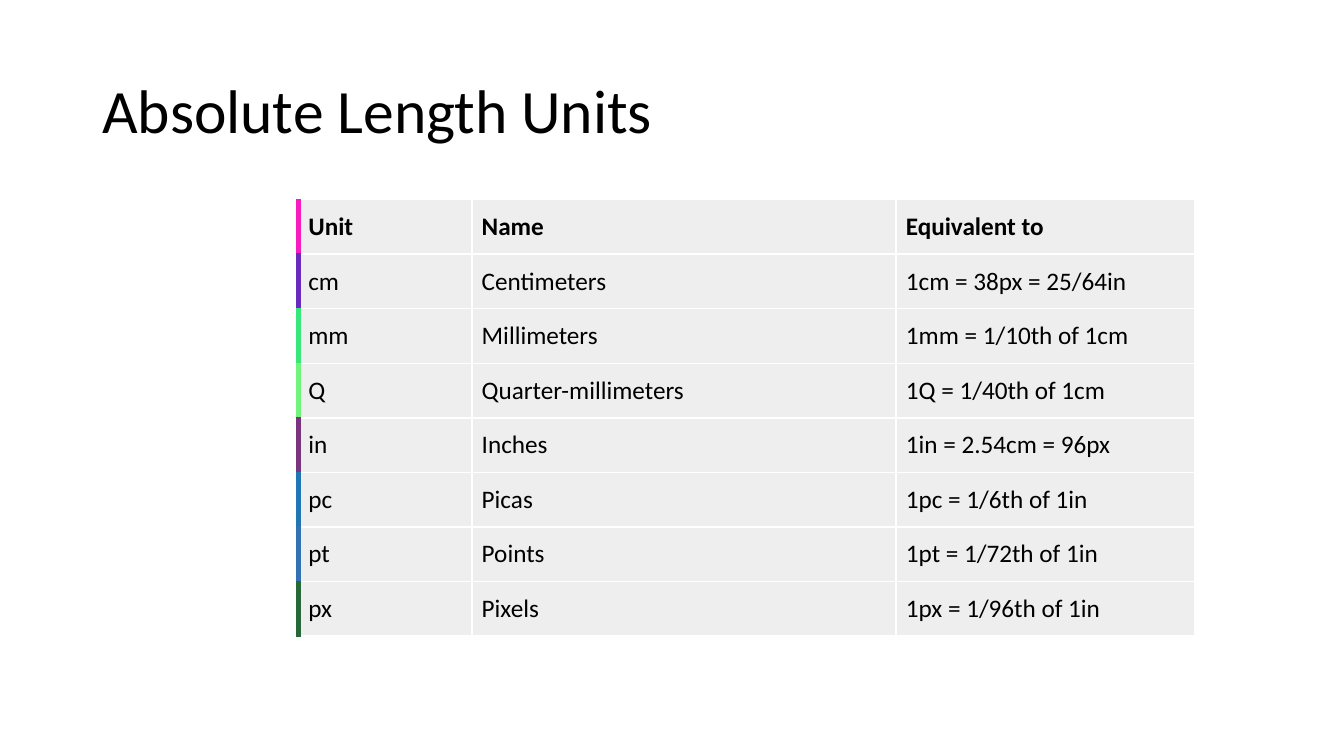
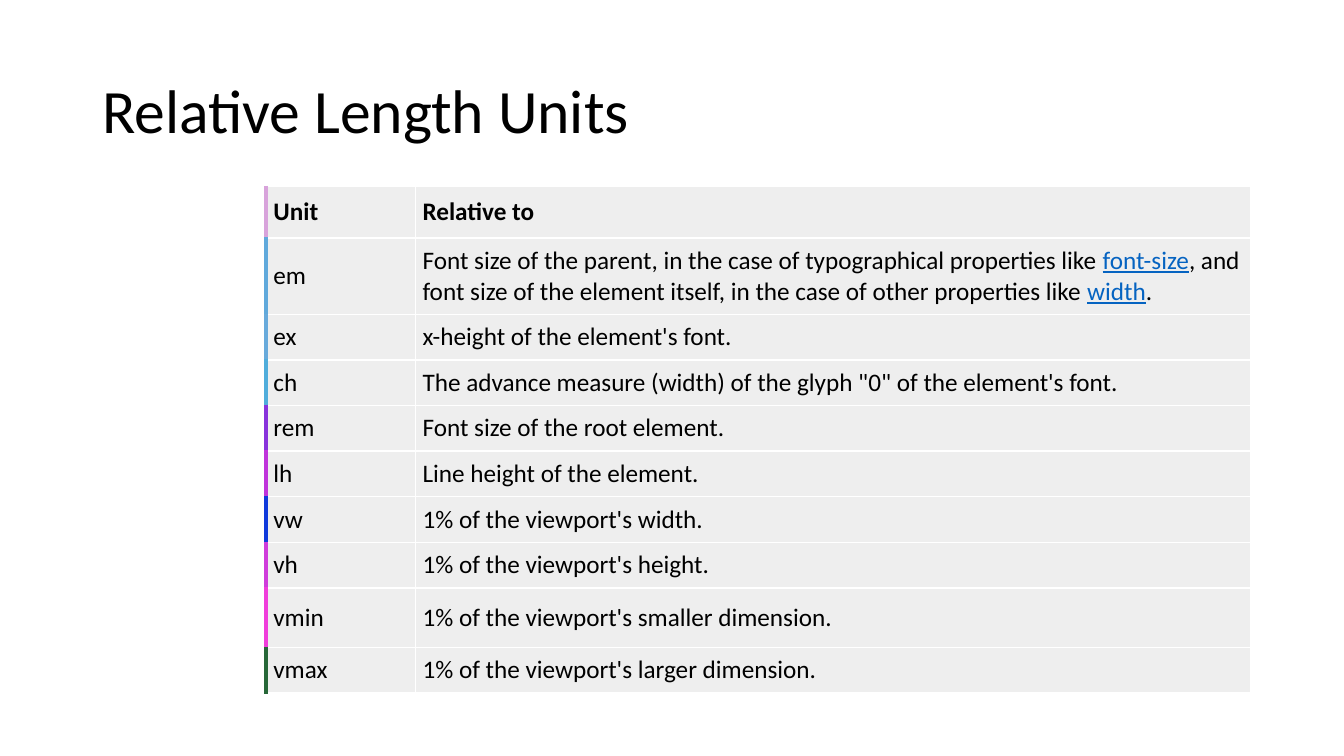
from lxml import etree
from pptx import Presentation
from pptx.dml.color import RGBColor
from pptx.enum import text
from pptx.oxml import ns
from pptx.util import Cm, Pt

FONT = "Calibri"
COLORS = {"ink": "000000", "link": "0563C1", "cell": "EEEEEE", "rule": "FFFFFF"}
TITLE_BOX = (2.33, 1.01, 29.21, 3.68)
RULE_WIDTH = 1.2
MARKER_WIDTH = 3.6

ABSOLUTE_UNITS = [
    ("F81CC0", "Unit", "Name", "Equivalent to"),
    ("682BC0", "cm", "Centimeters", "1cm = 38px = 25/64in"),
    ("38E77A", "mm", "Millimeters", "1mm = 1/10th of 1cm"),
    ("70F47A", "Q", "Quarter-millimeters", "1Q = 1/40th of 1cm"),
    ("78347D", "in", "Inches", "1in = 2.54cm = 96px"),
    ("2076B4", "pc", "Picas", "1pc = 1/6th of 1in"),
    ("3072B4", "pt", "Points", "1pt = 1/72th of 1in"),
    ("276738", "px", "Pixels", "1px = 1/96th of 1in"),
]

RELATIVE_UNITS = [
    ("D8A3DB", "Unit", "Relative to"),
    ("60A9DB", "em",
     "Font size of the parent, in the case of typographical properties like |font-size|"
     ", and font size of the element itself, in the case of other properties like |width|."),
    ("68AADB", "ex", "x-height of the element's font."),
    ("50ADDB", "ch", "The advance measure (width) of the glyph \"0\" of the element's font."),
    ("8833DB", "rem", "Font size of the root element."),
    ("C034DB", "lh", "Line height of the element."),
    ("1039DB", "vw", "1% of the viewport's width."),
    ("D03CDB", "vh", "1% of the viewport's height."),
    ("F03DDB", "vmin", "1% of the viewport's smaller dimension."),
    ("276738", "vmax", "1% of the viewport's larger dimension."),
]


def style_run(run, size, color=COLORS["ink"], bold=False, underline=False):
    font = run.font
    font.name = FONT
    font.size = Pt(size)
    font.bold = bold
    font.underline = underline
    font.color.rgb = RGBColor.from_string(color)


def add_title(slide, title, box):
    text_frame = slide.shapes.add_textbox(*map(Cm, box)).text_frame
    text_frame.word_wrap = True
    text_frame.vertical_anchor = text.MSO_ANCHOR.MIDDLE
    text_frame.text = title
    paragraph = text_frame.paragraphs[0]
    paragraph.line_spacing = 0.9
    style_run(paragraph.runs[0], 44)


def set_borders(cell, left_color, left_width):
    properties = cell._tc.get_or_add_tcPr()
    sides = [("lnL", left_color, left_width)]
    sides += [(side, COLORS["rule"], RULE_WIDTH) for side in ("lnR", "lnT", "lnB")]
    for index, (side, color, width) in enumerate(sides):
        line = etree.Element(ns.qn("a:" + side), w=str(Pt(width)))
        fill = etree.SubElement(line, ns.qn("a:solidFill"))
        etree.SubElement(fill, ns.qn("a:srgbClr"), val=color)
        properties.insert(index, line)


def fill_cell(cell, content, margin, bold):
    cell.margin_left = cell.margin_right = Cm(margin)
    cell.margin_top = cell.margin_bottom = Cm(margin)
    cell.vertical_anchor = text.MSO_ANCHOR.MIDDLE
    cell.fill.solid()
    cell.fill.fore_color.rgb = RGBColor.from_string(COLORS["cell"])
    paragraph = cell.text_frame.paragraphs[0]
    for index, part in enumerate(content.split("|")):
        run = paragraph.add_run()
        run.text = part
        linked = index % 2 == 1
        style_run(run, 18, COLORS["link" if linked else "ink"], bold, linked)


def add_unit_table(slide, units, left, top, widths, heights, margin):
    frame = slide.shapes.add_table(
        len(heights), len(widths), Cm(left), Cm(top), Cm(sum(widths)), Cm(sum(heights)))
    table = frame.table
    table.first_row = table.horz_banding = False
    for column, width in zip(table.columns, widths):
        column.width = Cm(width)
    for row_index, (marker, *contents) in enumerate(units):
        table.rows[row_index].height = Cm(heights[row_index])
        for column_index, content in enumerate(contents):
            cell = table.cell(row_index, column_index)
            fill_cell(cell, content, margin, bold=row_index == 0)
            if column_index == 0:
                set_borders(cell, marker, MARKER_WIDTH)
            else:
                set_borders(cell, COLORS["rule"], RULE_WIDTH)


def add_unit_slide(presentation, title, units, **layout):
    slide = presentation.slides.add_slide(presentation.slide_layouts[6])
    add_title(slide, title, TITLE_BOX)
    add_unit_table(slide, units, **layout)


def main():
    presentation = Presentation()
    presentation.slide_width = Cm(33.87)
    presentation.slide_height = Cm(19.05)
    add_unit_slide(
        presentation, "Absolute Length Units", ABSOLUTE_UNITS,
        left=7.52, top=5.03, widths=[4.37, 10.69, 7.52],
        heights=[11 / 8] * 8, margin=0.25)
    add_unit_slide(
        presentation, "Relative Length Units", RELATIVE_UNITS,
        left=6.71, top=4.7, widths=[3.76, 21.06],
        heights=[1.3, 1.92] + [1.15] * 6 + [1.5, 1.15], margin=0.18)
    presentation.save("out.pptx")


if __name__ == "__main__":
    main()
